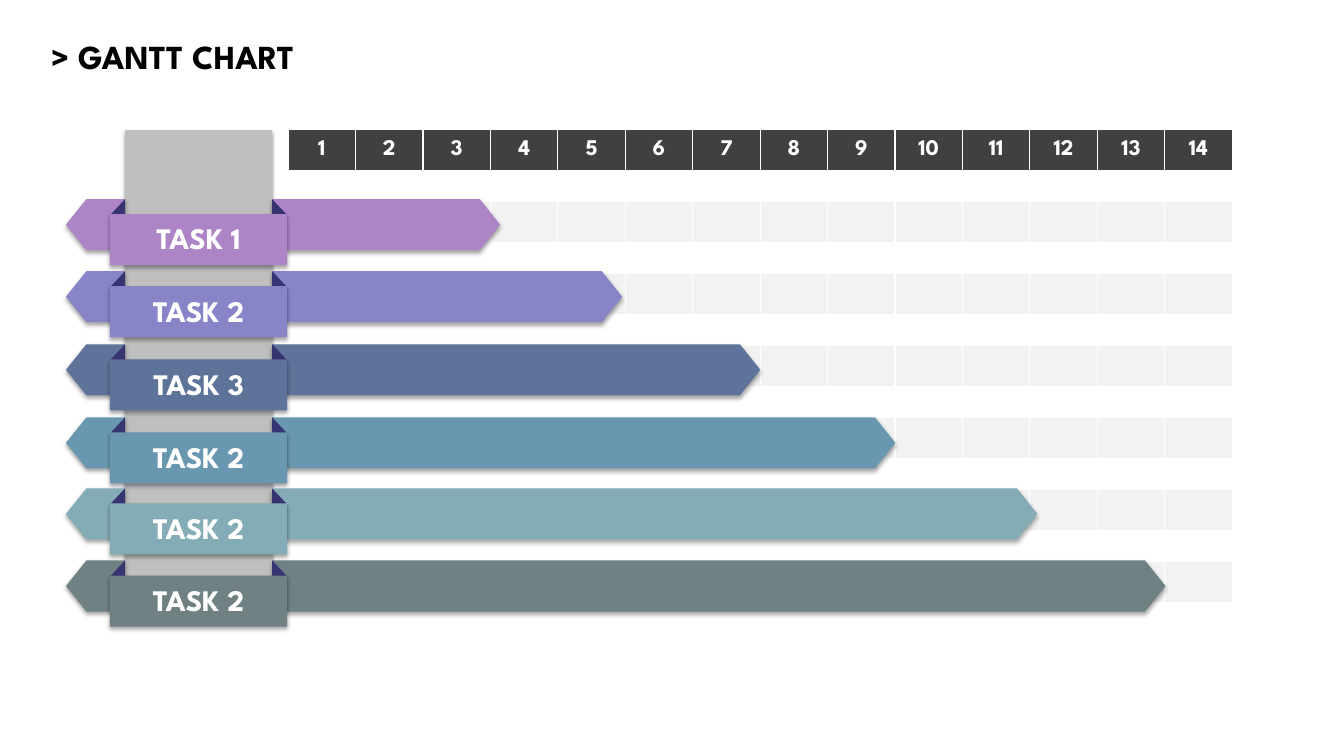
from lxml import etree
from pptx import Presentation
from pptx import util as u
from pptx.dml.color import RGBColor
from pptx.enum import shapes, text
from pptx.oxml.ns import qn

SCALE = 9080  # EMU per px
FONT = "League Spartan"
BLACK = RGBColor(0x00, 0x00, 0x00)
WHITE = RGBColor(0xFF, 0xFF, 0xFF)
HEADER = RGBColor(0x40, 0x40, 0x40)
LANE = RGBColor(0xF2, 0xF2, 0xF2)
POST = RGBColor(0xBF, 0xBF, 0xBF)
FOLD = RGBColor(0x37, 0x34, 0x72)

PERIODS = 14
LABEL_X, POST_X, POST_W, BAR_X, BAR_H = 110, 125, 147, 272, 51

# label, top, bar width, colour
TASKS = [
    ("TASK 1", 199, 228, RGBColor(0xAD, 0x84, 0xC6)),
    ("TASK 2", 271, 350, RGBColor(0x87, 0x84, 0xC7)),
    ("TASK 3", 344, 488, RGBColor(0x5D, 0x73, 0x9A)),
    ("TASK 2", 417, 623, RGBColor(0x69, 0x97, 0xAF)),
    ("TASK 2", 488, 765, RGBColor(0x84, 0xAC, 0xB6)),
    ("TASK 2", 560, 893, RGBColor(0x6F, 0x81, 0x83)),
]


def px(n):
    return u.Emu(n * SCALE)


class GanttSlide:
    def __init__(self, prs):
        self.slide = prs.slides.add_slide(prs.slide_layouts[5])

    def add_words(self, tf, words, size, color, align):
        p = tf.paragraphs[0]
        p.alignment = align
        r = p.add_run()
        r.text = words
        r.font.name, r.font.size, r.font.bold = FONT, u.Pt(size), True
        r.font.color.rgb = color

    def title(self, words, x, y, w, h):
        sp = self.slide.shapes.title
        sp.left, sp.top, sp.width, sp.height = px(x), px(y), px(w), px(h)
        tf = sp.text_frame
        tf.vertical_anchor = text.MSO_ANCHOR.MIDDLE
        self.add_words(tf, words, 24, BLACK, text.PP_ALIGN.LEFT)

    def shape(self, kind, x, y, w, h, color, parent=None, adj=None,
              rotation=0, flip=False, shadow=True):
        parent = parent or self.slide
        sp = parent.shapes.add_shape(kind, px(x), px(y), px(w), px(h))
        sp.fill.solid()
        sp.fill.fore_color.rgb = color
        sp.line.fill.background()
        sp.rotation = rotation
        if adj is not None:
            sp.adjustments[0] = adj
        if flip:
            sp._element.spPr.find(qn("a:xfrm")).set("flipH", "1")
        sp.shadow.inherit = False
        if shadow:
            effects = sp._element.spPr.find(qn("a:effectLst"))
            outer = etree.SubElement(
                effects, qn("a:outerShdw"), blurRad=str(u.Pt(3.1)),
                dist=str(u.Pt(1.8)), dir="5400000", rotWithShape="0")
            black = etree.SubElement(outer, qn("a:srgbClr"), val="000000")
            etree.SubElement(black, qn("a:alpha"), val="35000")

    def label(self, words, x, y, w, h, parent):
        tf = parent.shapes.add_textbox(px(x), px(y), px(w), px(h)).text_frame
        tf.word_wrap = True
        tf.auto_size = text.MSO_AUTO_SIZE.SHAPE_TO_FIT_TEXT
        self.add_words(tf, words, 21.3, WHITE, text.PP_ALIGN.CENTER)

    def cell(self, cell, color, words):
        tc_pr = cell._tc.get_or_add_tcPr()
        for side in ("lnL", "lnR", "lnT", "lnB"):
            ln = etree.SubElement(tc_pr, qn("a:" + side), w=str(u.Pt(1)))
            if side in ("lnL", "lnR"):
                line_fill = etree.SubElement(ln, qn("a:solidFill"))
                etree.SubElement(line_fill, qn("a:srgbClr"), val=str(WHITE))
            else:
                etree.SubElement(ln, qn("a:noFill"))
        cell.fill.solid()
        cell.fill.fore_color.rgb = color
        cell.margin_left = cell.margin_right = px(13)
        cell.margin_top = cell.margin_bottom = px(7)
        cell.vertical_anchor = text.MSO_ANCHOR.MIDDLE
        if words:
            self.add_words(cell.text_frame, words, 16, WHITE,
                           text.PP_ALIGN.CENTER)
        else:
            p = cell.text_frame.paragraphs[0]
            etree.SubElement(p._p, qn("a:endParaRPr"), sz="800")

    def grid(self, x, y, w, lane_h, gap_h):
        rows = 2 * len(TASKS) + 1
        h = lane_h * (len(TASKS) + 1) + gap_h * len(TASKS)
        table = self.slide.shapes.add_table(
            rows, PERIODS, px(x), px(y), px(w), px(h)).table
        table.first_row = table.horz_banding = False
        for col in table.columns:
            col.width = u.Emu(px(w) // PERIODS)
        for i, row in enumerate(table.rows):
            row.height = px(gap_h if i % 2 else lane_h)
            color = HEADER if i == 0 else WHITE if i % 2 else LANE
            for j, cell in enumerate(row.cells):
                self.cell(cell, color, str(j + 1) if i == 0 else "")

    def task(self, words, y, bar_w, color):
        kind = shapes.MSO_SHAPE
        self.shape(kind.PENTAGON, BAR_X, y, bar_w, BAR_H, color, adj=0.4)
        # Ribbon: tail, two folds, front panel and label
        ribbon = self.slide.shapes.add_group_shape()
        self.shape(kind.PENTAGON, 66, y, 59, BAR_H, color, ribbon, adj=0.4,
                   flip=True)
        for x, rotation, flip in ((93, 270, True), (255, 90, False)):
            self.shape(kind.PARALLELOGRAM, x, y + 17, 49, 15, FOLD, ribbon,
                       adj=1.07, rotation=rotation, flip=flip, shadow=False)
        self.shape(kind.RECTANGLE, LABEL_X, y + 15, 177, BAR_H, color, ribbon)
        self.label(words, POST_X, y + 16, POST_W, 46, ribbon)


def main():
    prs = Presentation()
    prs.slide_width, prs.slide_height = u.Inches(13.34), u.Inches(7.5)
    gantt = GanttSlide(prs)

    # Heading
    gantt.title("> GANTT CHART", 41, 27, 536, 58)

    # Post and period grid
    gantt.shape(shapes.MSO_SHAPE.RECTANGLE, POST_X, 130, POST_W, 470, POST)
    gantt.grid(288, 130, 944, 40, 32)

    # Task bars
    for task in TASKS:
        gantt.task(*task)

    prs.save("out.pptx")


if __name__ == "__main__":
    main()
